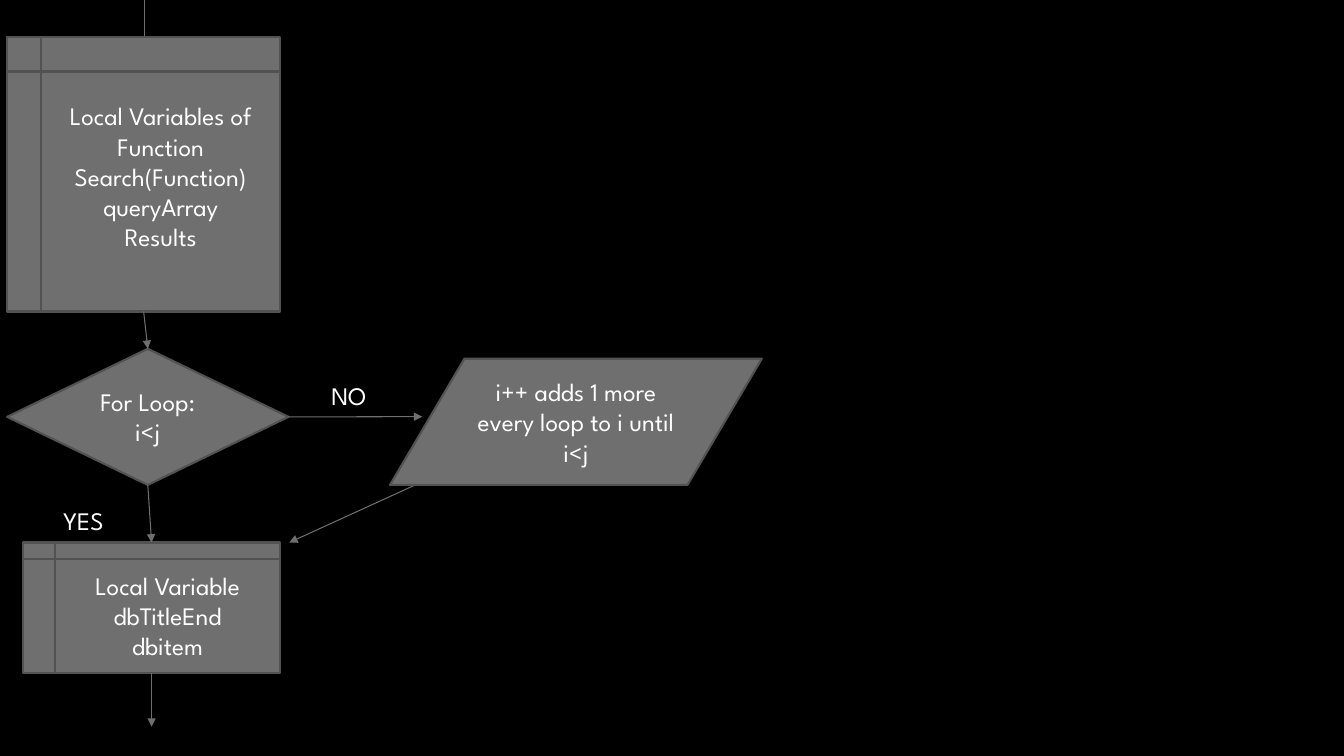
from dataclasses import dataclass

import pptx
import pptx.dml.color
import pptx.enum.shapes
import pptx.enum.text
import pptx.oxml
import pptx.oxml.ns
import pptx.util
from pptx.util import Cm

RGBColor = pptx.dml.color.RGBColor
Shape = pptx.enum.shapes.MSO_SHAPE
BLACK = RGBColor(0x00, 0x00, 0x00)
WHITE = RGBColor(0xFF, 0xFF, 0xFF)
GREY = RGBColor(0x6F, 0x6F, 0x6F)
DARK_GREY = RGBColor(0x52, 0x52, 0x52)
FONT = "League Spartan"
TOP, BOTTOM, RIGHT = 0, 2, 3


@dataclass
class Step:
    kind: Shape
    left: float
    top: float
    width: float
    height: float
    lines: list[str]
    bottom_inset: float = 0.13


@dataclass
class Label:
    text: str
    left: float
    top: float


@dataclass
class Arrow:
    start: tuple[float, float]
    end: tuple[float, float]


STEPS = {
    "search": Step(Shape.FLOWCHART_INTERNAL_STORAGE, 0.18, 0.94, 6.88, 6.91,
                   ["Local Variables of Function", "Search(Function)", "queryArray", "Results"], 0.89),
    "loop": Step(Shape.FLOWCHART_DECISION, 0.18, 8.79, 7.09, 3.43, ["For Loop:", "i<j"]),
    "item": Step(Shape.FLOWCHART_INTERNAL_STORAGE, 0.58, 13.67, 6.48, 3.28,
                 ["Local Variable", "dbTitleEnd", "dbitem"]),
    "increment": Step(Shape.FLOWCHART_DATA, 9.83, 9.04, 9.37, 3.18,
                      ["i++ adds 1 more every loop to i until i<j"]),
}
LABELS = [Label("NO", 8.1, 9.47), Label("YES", 1.35, 12.62)]
ENTRY = Arrow((3.63, 0), (3.63, 2.84))
RETURN = Arrow((10.64, 12.14), (7.29, 13.67))
NO_BRANCH = Arrow((7.27, 10.5), (10.64, 10.5))
EXIT = Arrow((3.82, 16.95), (3.82, 18.31))


def write_lines(tf, lines: list[str], align=None) -> None:
    tf.word_wrap = True
    for i, line in enumerate(lines):
        p = tf.paragraphs[0] if i == 0 else tf.add_paragraph()
        p.text = line
        p.alignment = align
        p.font.name = FONT
        p.font.size = pptx.util.Pt(18)
        p.font.color.rgb = WHITE


def add_step(s, step: Step):
    sp = s.shapes.add_shape(step.kind, Cm(step.left), Cm(step.top), Cm(step.width), Cm(step.height))
    sp.shadow.inherit = False
    sp.fill.solid()
    sp.fill.fore_color.rgb = GREY
    sp.line.color.rgb = DARK_GREY
    sp.line.width = pptx.util.Pt(1.5)
    tf = sp.text_frame
    tf.vertical_anchor = pptx.enum.text.MSO_ANCHOR.MIDDLE
    tf.margin_bottom = Cm(step.bottom_inset)
    write_lines(tf, step.lines, pptx.enum.text.PP_ALIGN.CENTER)
    return sp


def add_label(s, label: Label) -> None:
    sp = s.shapes.add_textbox(Cm(label.left), Cm(label.top), Cm(1.73), Cm(1.02))
    write_lines(sp.text_frame, [label.text])


def add_arrow(s, arrow: Arrow):
    (x1, y1), (x2, y2) = arrow.start, arrow.end
    line = s.shapes.add_connector(pptx.enum.shapes.MSO_CONNECTOR.STRAIGHT, Cm(x1), Cm(y1), Cm(x2), Cm(y2))
    line.line.color.rgb = GREY
    line.line.width = pptx.util.Pt(0.75)
    qn = pptx.oxml.ns.qn
    sp_pr = line._element.spPr
    tail = sp_pr.find(qn("a:ln")).makeelement(qn("a:tailEnd"), {"type": "triangle"})
    sp_pr.find(qn("a:ln")).append(tail)
    sp_pr.append(sp_pr.makeelement(qn("a:effectLst"), {}))
    return line


def join(s, upper, lower) -> None:
    line = add_arrow(s, Arrow((0, 0), (1, 1)))
    line.begin_connect(upper, BOTTOM)
    line.end_connect(lower, TOP)


def main() -> None:
    prs = pptx.Presentation()
    prs.slide_width, prs.slide_height = Cm(33.87), Cm(19.05)
    s = prs.slides.add_slide(prs.slide_layouts[6])
    s.background.fill.solid()
    s.background.fill.fore_color.rgb = BLACK

    # Arrows that run behind the steps
    for arrow in (ENTRY, RETURN):
        add_arrow(s, arrow)

    # Steps and branch labels
    shapes = {name: add_step(s, step) for name, step in STEPS.items()}
    for label in LABELS:
        add_label(s, label)

    # Arrows joined to the steps
    join(s, shapes["search"], shapes["loop"])
    join(s, shapes["loop"], shapes["item"])
    add_arrow(s, NO_BRANCH).begin_connect(shapes["loop"], RIGHT)
    add_arrow(s, EXIT).begin_connect(shapes["item"], BOTTOM)

    prs.save("out.pptx")


if __name__ == "__main__":
    main()
